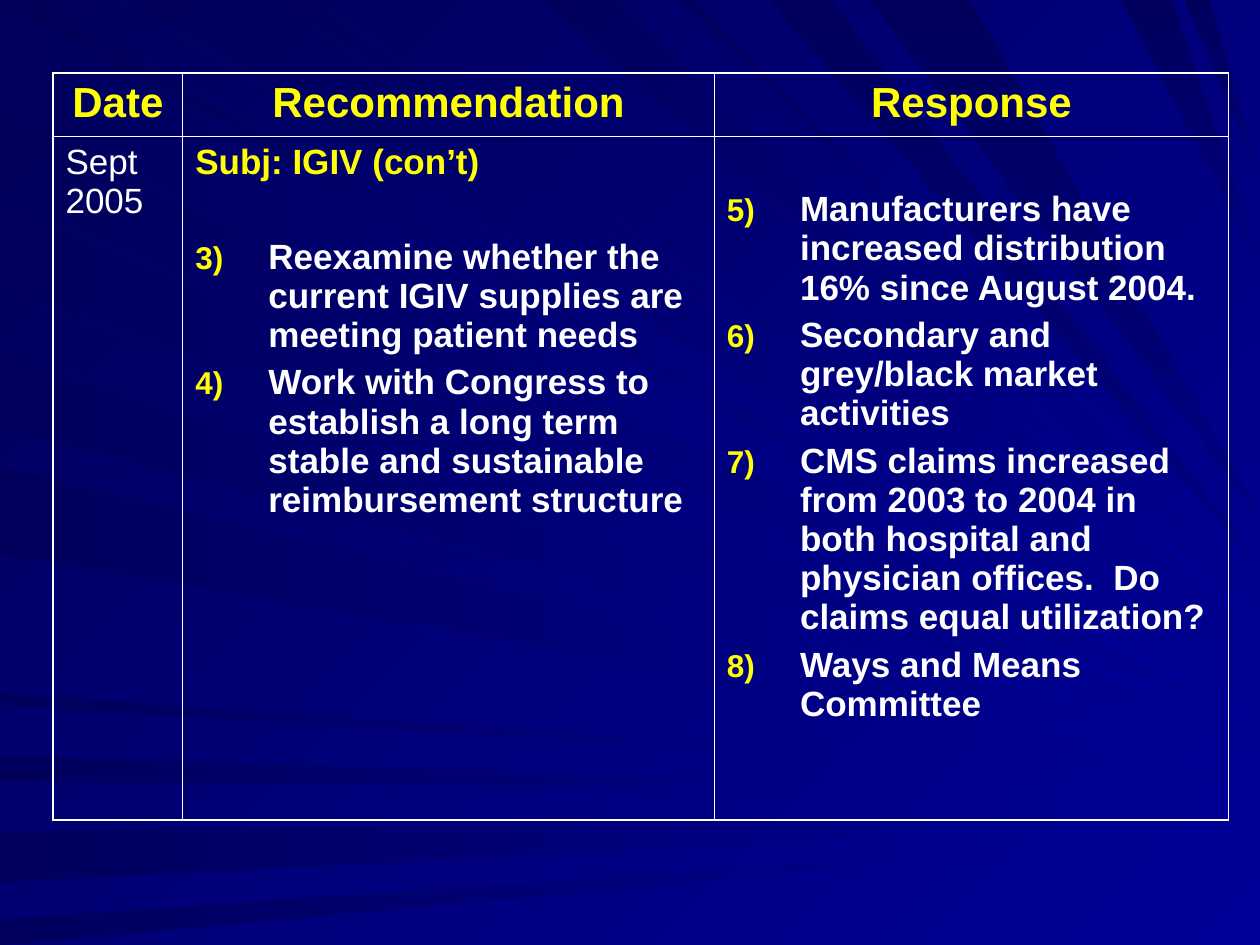
"""Builds a recommendation and response table over a background of blue light rays."""
from dataclasses import dataclass

from lxml import etree
from pptx import Presentation
from pptx.dml.color import RGBColor
from pptx.enum.text import MSO_ANCHOR, PP_ALIGN
from pptx.oxml.ns import qn
from pptx.util import Inches, Pt

CENTER, LEFT = PP_ALIGN.CENTER, PP_ALIGN.LEFT
TOP = MSO_ANCHOR.TOP


@dataclass(frozen=True)
class Theme:
    font: str = "Arial"
    accent: str = "FFFF00"
    text: str = "FFFFFF"
    border: str = "FFFFFF"
    light: str = "000099"
    dark: str = "000057"
    ray_dark: str = "00005C"
    shade: str = "000080"
    heading_size: float = 24
    body_size: float = 20
    outer_line: float = 1.08
    inner_line: float = 0.45
    item_gap: float = 5
    section_gap: float = 32
    bullet_percent: int = 90


THEME = Theme()
SLIDE_WIDTH, SLIDE_HEIGHT = 10, 7.5
TABLE_ORIGIN = (0.42, 0.58)
COLUMN_WIDTHS = (1.03, 4.22, 4.08)
ROW_HEIGHTS = (0.5, 5.43)
CELL_MARGIN = (0.1, 0.05)
HANGING_INDENT = 0.58
LOWERED_TOP = 0.43
GLOW_ANGLE, SIDE_ANGLE, DOWN_ANGLE = 135, 180, 270

HEADINGS = ("Date", "Recommendation", "Response")
DATE = "Sept 2005"
SUBJECT = "Subj: IGIV (con’t)"
RECOMMENDATIONS = (
    "Reexamine whether the current IGIV supplies are meeting patient needs",
    "Work with Congress to establish a long term stable and sustainable reimbursement structure",
)
RESPONSES = (
    "Manufacturers have increased distribution 16% since August 2004.",
    "Secondary and grey/black market activities",
    "CMS claims increased from 2003 to 2004 in both hospital and physician offices.  Do claims equal utilization?",
    "Ways and Means Committee",
)
FIRST_RECOMMENDATION, FIRST_RESPONSE = 3, 5

LEFT_RAYS = (
    (0, 0.9, 5.7), (1.6, 2.3, 5.8), (2.8, 3.4, 6), (3.7, 4.4, 6.1),
    (5.5, 5.6, 6.2), (6, 6.2, 6.3), (6.6, 7, 6.5), (7.3, 7.5, 6.6),
)
TOP_RAYS = ((0.3, 1, 5.6), (2.2, 2.5, 5.5), (4.3, 4.9, 5), (5.4, 5.5, 4.6))
STEEP_RAYS = ((6.1, 6.6, 4.5), (6.9, 7.7, 4.1), (8.9, 9.3, 2.1), (9.4, 9.6, 1.4))


def paint(fill, colors, angle):
    fill.gradient()
    fill.gradient_angle = angle
    for stop, color in zip(fill.gradient_stops, colors):
        stop.color.rgb = RGBColor.from_string(color)


def add_ray(slide, base, tip_height, colors, angle):
    first, *others = [
        (Inches(x), Inches(y)) for x, y in (*base, (SLIDE_WIDTH, tip_height))]
    builder = slide.shapes.build_freeform(*first)
    builder.add_line_segments(others, close=True)
    shape = builder.convert_to_shape()
    shape.shadow.inherit = False
    shape.line.fill.background()
    paint(shape.fill, colors, angle)


def add_rays(slide):
    glow = (THEME.light, THEME.ray_dark)
    for start, end, tip in LEFT_RAYS:
        add_ray(slide, ((0, start), (0, end)), tip, glow, SIDE_ANGLE)
    falling = (THEME.ray_dark, THEME.shade)
    for rays, colors, angle in (
            (TOP_RAYS, glow, GLOW_ANGLE), (STEEP_RAYS, falling, DOWN_ANGLE)):
        for start, end, tip in rays:
            add_ray(slide, ((start, 0), (end, 0)), tip, colors, angle)


def add_child(parent, tag, **attributes):
    return etree.SubElement(parent, qn(tag), attributes)


def set_borders(cell, row, column):
    edges = {
        "a:lnL": column == 0,
        "a:lnR": column == len(COLUMN_WIDTHS) - 1,
        "a:lnT": row == 0,
        "a:lnB": row == len(ROW_HEIGHTS) - 1,
    }
    properties = cell._tc.get_or_add_tcPr()
    for tag, is_outer in edges.items():
        width = THEME.outer_line if is_outer else THEME.inner_line
        line = add_child(properties, tag, w=str(Pt(width)))
        add_child(add_child(line, "a:solidFill"), "a:srgbClr", val=THEME.border)


def write(cell, entries):
    text_frame = cell.text_frame
    for index, entry in enumerate(entries):
        paragraph = text_frame.add_paragraph() if index else text_frame.paragraphs[0]
        if "number" in entry:
            properties = paragraph._p.get_or_add_pPr()
            properties.set("marL", str(Inches(HANGING_INDENT)))
            properties.set("indent", str(-Inches(HANGING_INDENT)))
            add_child(add_child(properties, "a:buClr"), "a:srgbClr", val=THEME.accent)
            add_child(properties, "a:buSzPct", val=str(THEME.bullet_percent * 1000))
            add_child(properties, "a:buAutoNum", type="arabicParenR", startAt=str(entry["number"]))
        paragraph.alignment = entry.get("align", LEFT)
        paragraph.space_before = Pt(entry.get("gap", THEME.item_gap) if index else 0)
        run = paragraph.add_run()
        run.text = entry["text"]
        run.font.name = THEME.font
        run.font.size = Pt(entry.get("size", THEME.body_size))
        run.font.bold = entry.get("bold", True)
        run.font.color.rgb = RGBColor.from_string(entry.get("color", THEME.text))


def numbered(texts, start):
    return [{"text": text, "number": start} for text in texts]


def add_table(slide):
    size = (sum(COLUMN_WIDTHS), sum(ROW_HEIGHTS))
    frame = slide.shapes.add_table(
        len(ROW_HEIGHTS), len(COLUMN_WIDTHS), *map(Inches, TABLE_ORIGIN + size))
    table = frame.table
    table.first_row = table.horz_banding = False
    for column, width in zip(table.columns, COLUMN_WIDTHS):
        column.width = Inches(width)
    for row, height in zip(table.rows, ROW_HEIGHTS):
        row.height = Inches(height)

    recommendations = numbered(RECOMMENDATIONS, FIRST_RECOMMENDATION)
    recommendations[0]["gap"] = THEME.section_gap
    heading = {"align": CENTER, "size": THEME.heading_size, "color": THEME.accent}
    contents = (
        [[{"text": text, **heading}] for text in HEADINGS],
        [
            [{"text": DATE, "bold": False}],
            [{"text": SUBJECT, "color": THEME.accent}, *recommendations],
            numbered(RESPONSES, FIRST_RESPONSE),
        ],
    )
    for row, cells in enumerate(contents):
        for column, entries in enumerate(cells):
            cell = table.cell(row, column)
            set_borders(cell, row, column)
            cell.fill.background()
            cell.vertical_anchor = TOP
            cell.margin_left = cell.margin_right = Inches(CELL_MARGIN[0])
            cell.margin_top = cell.margin_bottom = Inches(CELL_MARGIN[1])
            write(cell, entries)
    table.cell(1, 2).margin_top = Inches(LOWERED_TOP)


def main():
    presentation = Presentation()
    presentation.slide_width = Inches(SLIDE_WIDTH)
    presentation.slide_height = Inches(SLIDE_HEIGHT)
    slide = presentation.slides.add_slide(presentation.slide_layouts.get_by_name("Blank"))
    paint(slide.background.fill, (THEME.light, THEME.dark), GLOW_ANGLE)
    add_rays(slide)
    add_table(slide)
    presentation.save("out.pptx")


if __name__ == "__main__":
    main()
